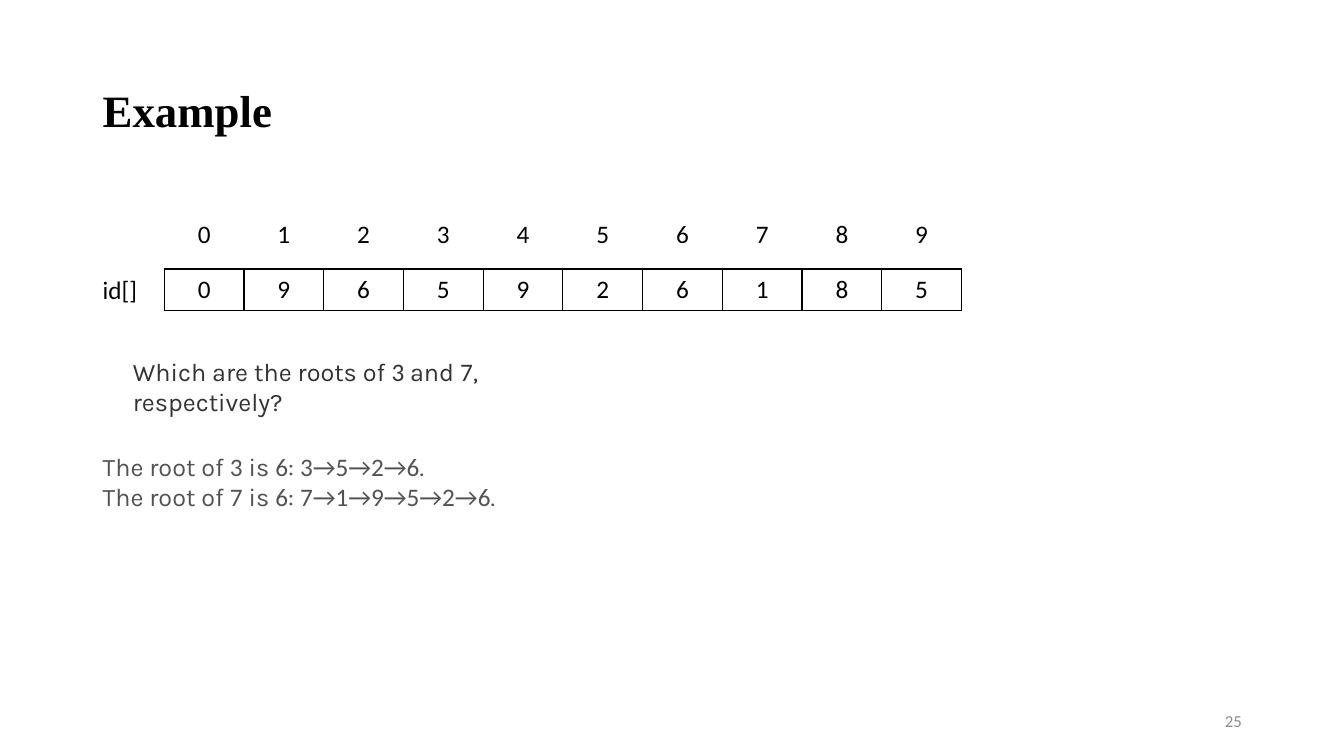
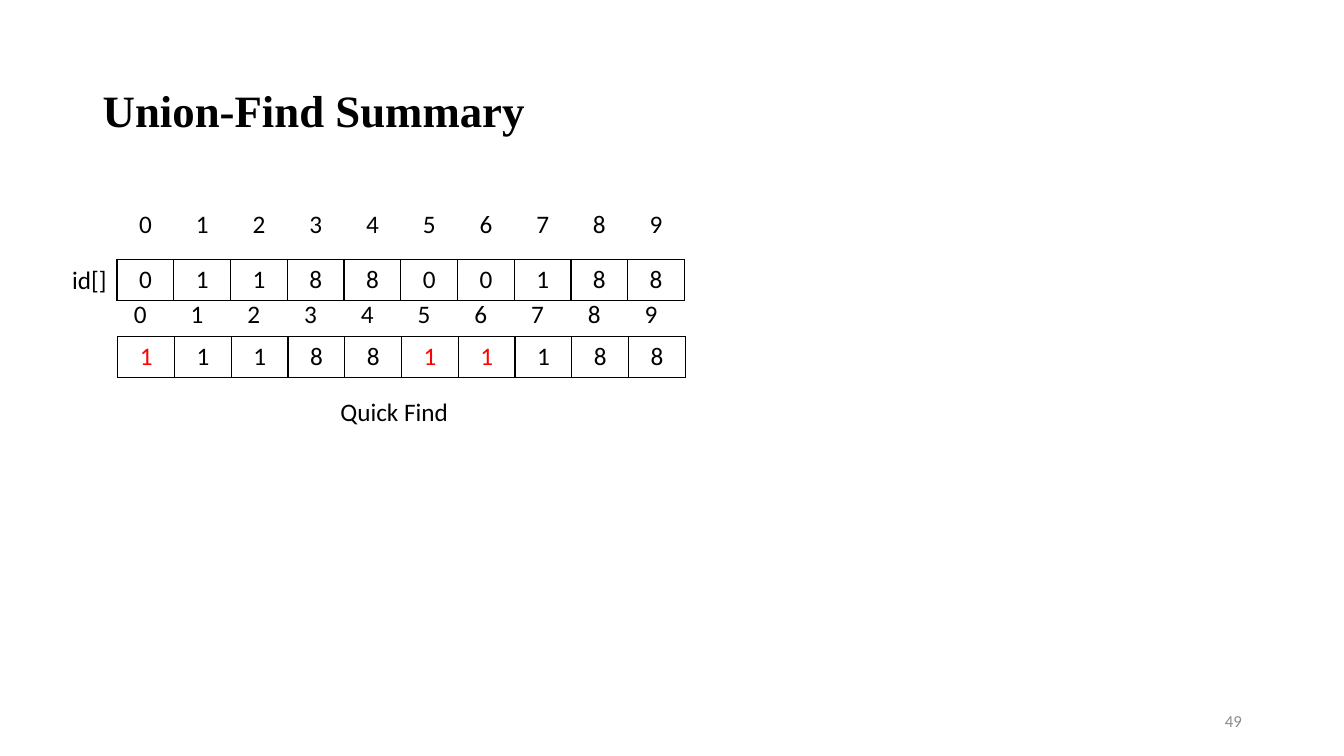
from lxml import etree
from pptx import Presentation
from pptx import util as u
from pptx.dml import color
from pptx.enum import text
from pptx.oxml import ns

COLORS = {
    "black": "000000",
    "question": "333333",
    "answer": "525252",
    "number": "8C8C8C",
    "changed": "FF0000",
}

# Text formats shared by both slides
FORMATS = {
    "title": {"name": "Times New Roman", "size": u.Pt(32), "bold": True},
    "plain": {"name": "Calibri", "size": u.Pt(18)},
    "prose": {"name": "Karla", "size": u.Pt(18)},
    "number": {"name": "Calibri", "size": u.Pt(12)},
}

LEFT = 2.34
ROW_HEIGHT = 1.04
INDICES = range(10)


def add_run(paragraph, words, style, color_name):
    run = paragraph.add_run()
    run.text = words
    for name, value in FORMATS[style].items():
        setattr(run.font, name, value)
    run.font.color.rgb = color.RGBColor.from_string(COLORS[color_name])


def add_text(slide, box, lines, color_name="black", frame_format=None,
             paragraph_format=None):
    """Add a text box; each line is a list of (words, style) pairs."""
    shape = slide.shapes.add_textbox(*(u.Cm(length) for length in box))
    frame = shape.text_frame
    for name, value in {"word_wrap": True, **(frame_format or {})}.items():
        setattr(frame, name, value)
    for number, line in enumerate(lines):
        paragraph = frame.add_paragraph() if number else frame.paragraphs[0]
        for name, value in (paragraph_format or {}).items():
            setattr(paragraph, name, value)
        for words, style in line:
            add_run(paragraph, words, style, color_name)


def add_label(slide, left, top, width, words):
    add_text(slide, (left, top, width, 1.02), [[(words, "plain")]],
             frame_format={"word_wrap": False})


def set_borders(cell, visible):
    properties = cell._tc.get_or_add_tcPr()
    for side in ("a:lnL", "a:lnR", "a:lnT", "a:lnB"):
        line = etree.SubElement(properties, ns.qn(side), w=str(u.Pt(1)))
        if visible:
            fill = etree.SubElement(line, ns.qn("a:solidFill"))
            etree.SubElement(fill, ns.qn("a:srgbClr"), val=COLORS["black"])
        else:
            etree.SubElement(line, ns.qn("a:noFill"))


def add_row(slide, left, top, cell_width, values, bordered=False, changed=()):
    """Add a one-row table; the positions in changed are shown in red."""
    count = len(values)
    frame = slide.shapes.add_table(
        1, count, u.Cm(left), u.Cm(top), u.Cm(cell_width * count), u.Cm(ROW_HEIGHT))
    table = frame.table
    for name in ("first_row", "horz_banding"):
        setattr(table, name, False)
    for position, value in enumerate(values):
        table.columns[position].width = u.Cm(cell_width)
        cell = table.cell(0, position)
        set_borders(cell, bordered)
        cell.fill.background()
        paragraph = cell.text_frame.paragraphs[0]
        paragraph.alignment = text.PP_ALIGN.CENTER
        add_run(paragraph, str(value), "plain",
                "changed" if position in changed else "black")


def add_slide(presentation, title, number):
    """Add a blank slide with the shared title and slide number."""
    slide = presentation.slides.add_slide(presentation.slide_layouts[6])
    middle = {"vertical_anchor": text.MSO_ANCHOR.MIDDLE}
    add_text(slide, (LEFT, 1.02, 29.21, 3.68), [[(title, "title")]],
             frame_format=middle, paragraph_format={"line_spacing": 0.9})
    add_text(slide, (23.93, 17.65, 7.62, 1.02), [[(str(number), "number")]],
             "number", middle, {"alignment": text.PP_ALIGN.RIGHT})
    return slide


def answer_line(item, root, trail):
    return [("The root of ", "prose"), (item, "plain"), (" is ", "prose"),
            (root, "plain"), (": ", "prose"), ("→".join(trail), "plain"),
            (".", "prose")]


def build_example(presentation):
    slide = add_slide(presentation, "Example", 25)

    # Array with its indices
    add_row(slide, 4.14, 5.41, 2.01, INDICES)
    add_row(slide, 4.14, 6.78, 2.01, [0, 9, 6, 5, 9, 2, 6, 1, 8, 5], bordered=True)
    add_label(slide, LEFT, 6.78, 1.55, "id[]")

    # Question and answers
    question = [("Which are the roots of ", "prose"), ("3 ", "plain"),
                ("and ", "prose"), ("7", "plain"), (", respectively?", "prose")]
    add_text(slide, (3.1, 8.86, 12.17, 1.8), [question], "question")
    answers = [answer_line("3", "6", "3526"), answer_line("7", "6", "719526")]
    add_text(slide, (LEFT, 11.25, 16.94, 1.8), answers, "answer")


def build_summary(presentation):
    slide = add_slide(presentation, "Union-Find Summary", 49)

    # Array before the union
    add_row(slide, 2.95, 5.16, 1.43, INDICES)
    add_row(slide, 2.95, 6.53, 1.43, [0, 1, 1, 8, 8, 0, 0, 1, 8, 8], bordered=True)
    add_label(slide, 1.57, 6.53, 1.55, "id[]")

    # Array after the union, changed entries in red
    add_row(slide, 2.82, 7.42, 1.43, INDICES)
    add_row(slide, 2.97, 8.48, 1.43, [1, 1, 1, 8, 8, 1, 1, 1, 8, 8],
            bordered=True, changed=(0, 5, 6))
    add_label(slide, 8.33, 9.86, 3.25, "Quick Find")


def main():
    presentation = Presentation()
    presentation.slide_width = u.Cm(33.87)
    presentation.slide_height = u.Cm(19.05)
    build_example(presentation)
    build_summary(presentation)
    presentation.save("out.pptx")


if __name__ == "__main__":
    main()
